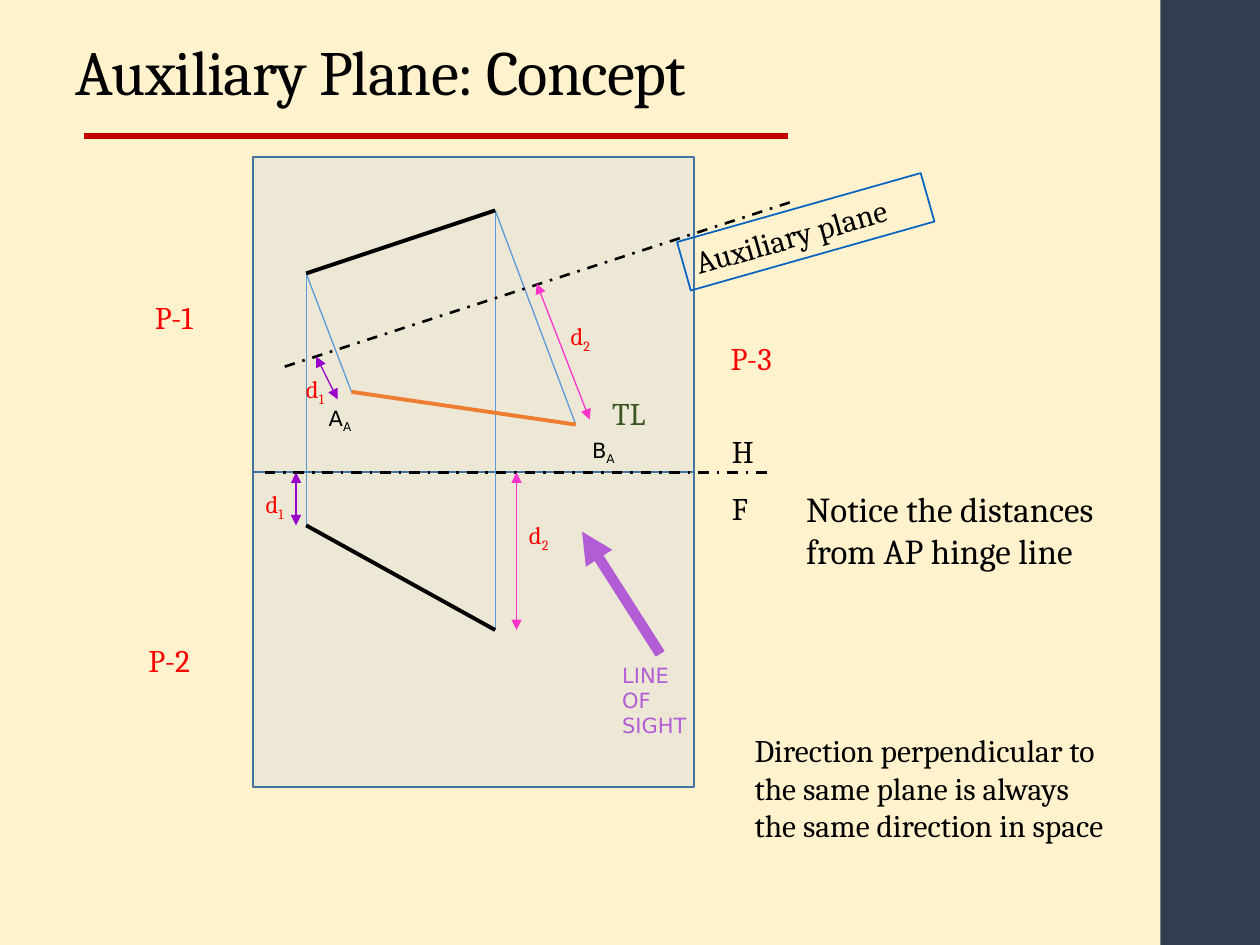
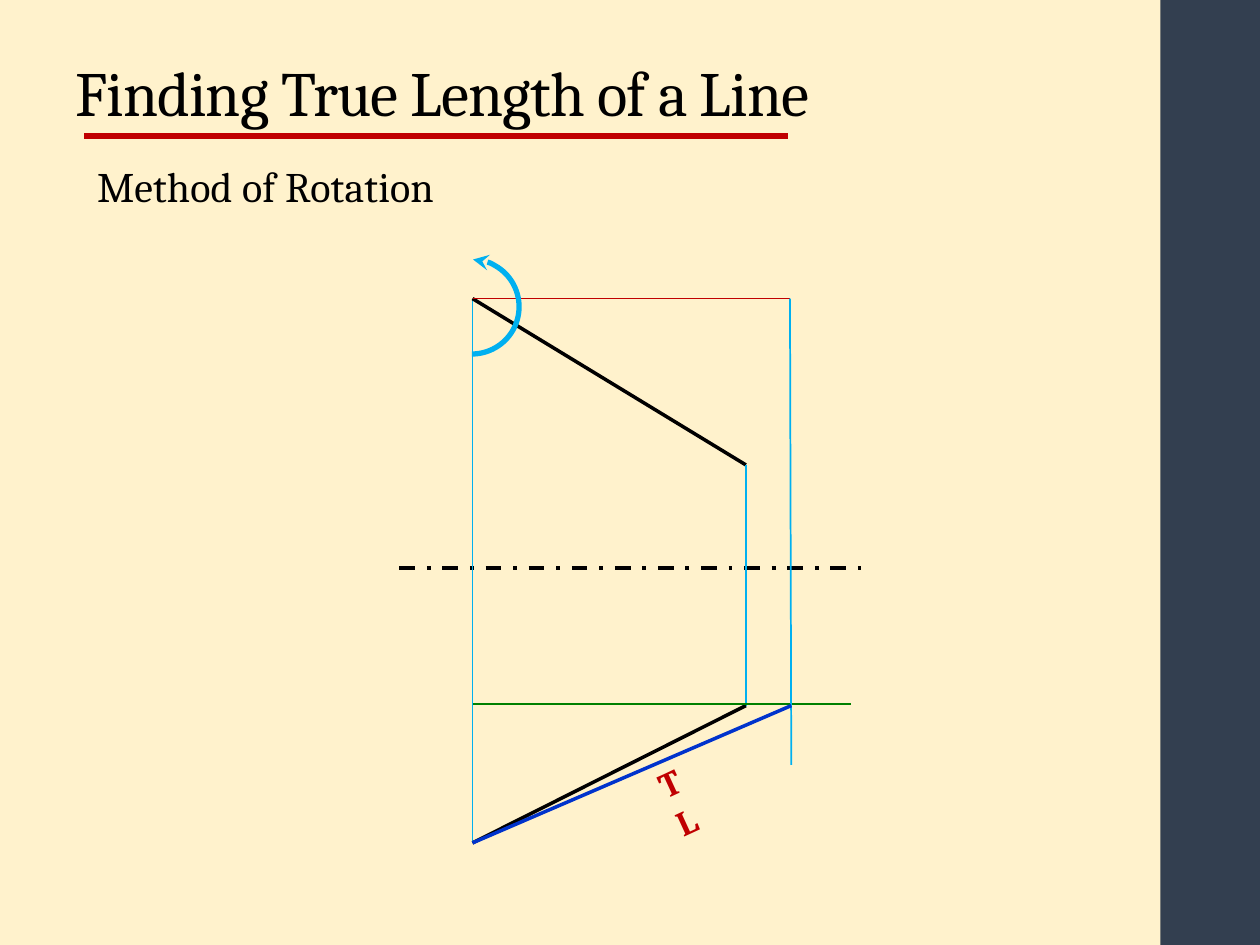
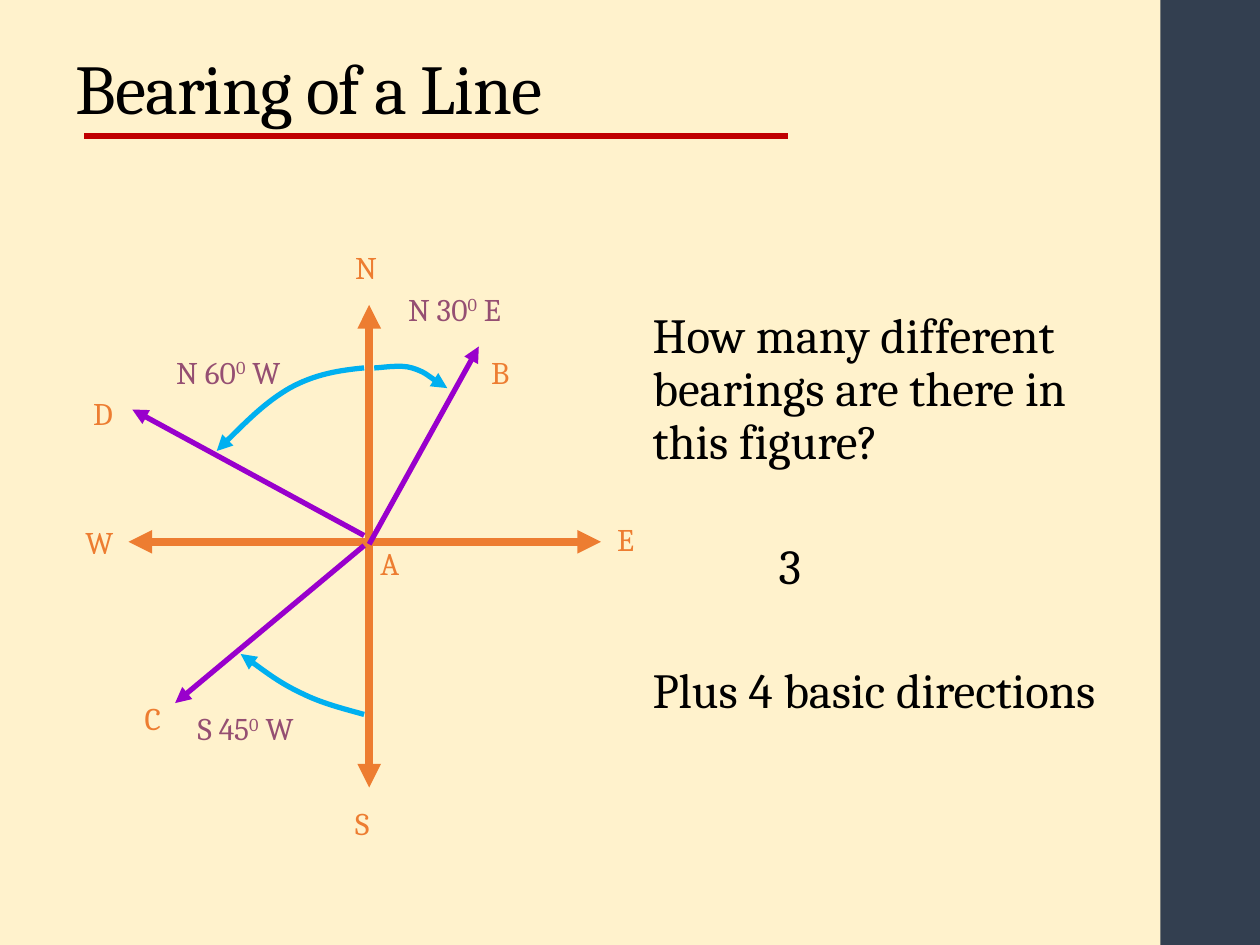
from dataclasses import dataclass
from typing import Any

from lxml.etree import SubElement
from pptx import Presentation
from pptx.dml.color import RGBColor
from pptx.enum.dml import MSO_LINE
from pptx.enum.shapes import MSO_CONNECTOR, MSO_SHAPE
from pptx.enum.text import MSO_ANCHOR, MSO_AUTO_SIZE, PP_ALIGN
from pptx.oxml.ns import qn
from pptx.util import Inches, Pt


@dataclass(frozen=True)
class Theme:
    font: str = "Cambria"
    plain: str = "DejaVu Sans"
    paper: str = "FFF2CC"
    band: str = "333F50"
    rule: str = "C00000"
    ink: str = "000000"
    plane: str = "D6DCE5"
    edge: str = "43739E"
    ray: str = "5B9BD5"
    orange: str = "ED7D31"
    violet: str = "9900CC"
    pink: str = "FF33CC"
    red: str = "FF0000"
    forest: str = "385723"
    link: str = "0563C1"
    sky: str = "00B0F0"
    green: str = "008000"
    blue: str = "0033CC"
    plum: str = "954F72"
    title: int = 36
    large: int = 40
    ask: int = 28
    body: int = 24
    note: int = 20
    label: int = 18
    dim: int = 14
    tiny: int = 12


T = Theme()


def rgb(code):
    return RGBColor.from_string(code)


def style(font, size, color, name=T.font, bold=False):
    font.size, font.name, font.bold = Pt(size), name, bold
    font.color.rgb = rgb(color)


def stroke(shape, color, width, head=None, tail=None):
    """Colour a line, add its arrowheads and drop its shadow."""
    shape.line.color.rgb = rgb(color)
    shape.line.width = Pt(width)
    props = shape.element.spPr
    line = props.find(qn("a:ln"))
    for tag, kind in (("a:headEnd", head), ("a:tailEnd", tail)):
        if kind:
            SubElement(line, qn(tag)).set("type", kind)
    if props.find(qn("a:effectLst")) is None:
        SubElement(props, qn("a:effectLst"))


@dataclass
class Pane:
    """A drawing area whose lengths are inches from its own origin."""
    shapes: Any
    left: float = 0
    top: float = 0

    def at(self, x, y):
        return Inches(self.left + x), Inches(self.top + y)

    def box(self, x, y, wide, high):
        return *self.at(x, y), Inches(wide), Inches(high)

    def group(self):
        return Pane(self.shapes.add_group_shape().shapes, self.left, self.top)

    def line(self, start, end, color, width, dash=False, head=None, tail=None):
        line = self.shapes.add_connector(
            MSO_CONNECTOR.STRAIGHT, *self.at(*start), *self.at(*end))
        if dash:
            line.line.dash_style = MSO_LINE.DASH_DOT
        stroke(line, color, width, head, tail)
        return line

    def both(self, start, end, color, width):
        self.line(start, end, color, width, head="triangle", tail="triangle")

    def rect(self, box, color):
        rect = self.shapes.add_shape(MSO_SHAPE.RECTANGLE, *self.box(*box))
        rect.shadow.inherit = False
        rect.fill.solid()
        rect.fill.fore_color.rgb = rgb(color)
        rect.line.fill.background()
        return rect

    def curve(self, points, color, width):
        """Draw cubic curves through a start and triples of points."""
        start, *rest = [self.at(*point) for point in points]
        pen = self.shapes.build_freeform(*start)
        pen.add_line_segments(rest, close=False)
        shape = pen.convert_to_shape()
        steps = list(shape.element.iter(qn("a:lnTo")))
        for i in range(0, len(steps), 3):
            trio = steps[i:i + 3]
            bend = SubElement(trio[0].getparent(), qn("a:cubicBezTo"))
            for step in trio:
                bend.append(step[0])
                step.getparent().remove(step)
        shape.fill.background()
        stroke(shape, color, width, tail="triangle")

    def text(self, box, lines, size, color, name=T.font, bold=False,
             wrap=True, shift=0, turn=0):
        """Write lines; in a tuple every second run is shifted by a percentage."""
        shape = self.shapes.add_textbox(*self.box(*box))
        shape.rotation = turn
        frame = shape.text_frame
        frame.word_wrap = wrap
        frame.auto_size = MSO_AUTO_SIZE.SHAPE_TO_FIT_TEXT
        for i, line in enumerate(lines):
            para = frame.add_paragraph() if i else frame.paragraphs[0]
            style(para.font, size, color, name, bold)
            for j, part in enumerate((line,) if isinstance(line, str) else line):
                run = para.add_run()
                run.text = part
                if j % 2:
                    run._r.get_or_add_rPr().set("baseline", str(shift * 1000))
        return shape


def fill(holder, box, lines, size, space, anchor, track=0, gap=0, indents=()):
    holder.left, holder.top, holder.width, holder.height = map(Inches, box)
    frame = holder.text_frame
    frame.word_wrap = True
    frame.auto_size = MSO_AUTO_SIZE.NONE
    frame.vertical_anchor = anchor
    for i, line in enumerate(lines):
        para = frame.add_paragraph() if i else frame.paragraphs[0]
        para.text = line
        props = para._p.get_or_add_pPr()
        props.set("marL", str(Inches(indents[i] if indents else 0)))
        props.set("indent", "0")
        SubElement(props, qn("a:buNone"))
        para.alignment = PP_ALIGN.LEFT
        para.line_spacing = space
        para.space_before = Pt(gap if i else 0)
        style(para.font, size, T.ink)
    for font in holder.element.iter(qn("a:defRPr")):
        font.set("spc", str(track))


def head(slide, text, box=(0.5, 0.08, 7.95, 1), size=T.title):
    fill(slide.shapes.title, box, [text], size, 0.9, MSO_ANCHOR.BOTTOM, -50)


def dress(master, slide):
    """Put the paper, side band and title rule on the master."""
    master.background.fill.solid()
    master.background.fill.fore_color.rgb = rgb(T.paper)
    pane = Pane(slide.shapes)
    band = pane.rect((9.21, 0, 0.79, 7.5), T.band)
    rule = pane.line((0.67, 1.08), (6.25, 1.08), T.rule, 3)
    for part in (band, rule):
        master.shapes.element.append(part.element)


def planes(pane):
    """Draw a line in two views and its auxiliary view."""
    wide, high = 3.5, 2.5
    top_a, top_b = (0.42, 0.92), (1.92, 0.42)
    low_a, low_b = (0.42, 2.92), (1.92, 3.75)
    aux_a, aux_b = (0.78, 1.86), (2.56, 2.12)

    pane.line((3.23, 3.94), (2.61, 2.97), T.violet, 6, tail="triangle")
    pane.text((2.83, 3.96, 0.8, 0.7), ["LINE", "OF", "SIGHT"],
              T.tiny, T.violet, T.plain, wrap=False)
    for y in (0, high):
        rect = pane.rect((0, y, wide, high), T.plane)
        tint = next(rect.element.spPr.iter(qn("a:srgbClr")))
        SubElement(tint, qn("a:alpha")).set("val", "42000")
        stroke(rect, T.edge, 1.1)

    for start, end in ((top_a, low_a), (top_b, low_b),
                       (top_a, aux_a), (top_b, aux_b)):
        pane.line(start, end, T.ray, 0.75)
    for start, end, color in ((top_a, top_b, T.ink), (low_a, low_b, T.ink),
                              (aux_a, aux_b, T.orange)):
        pane.line(start, end, color, 2.25)
    for start, end in (((0.09, high), (4.09, high)), ((0.25, 1.66), (4.31, 0.34))):
        pane.line(start, end, T.ink, 1.5, dash=True)

    for start, end, color, spot, mark in (
            ((0.34, high), (0.34, 2.92), T.violet, (0, 2.58, 0.72, 0.34), "1"),
            ((2.09, high), (2.09, 3.75), T.pink, (2.09, 2.83, 1.17, 0.34), "2"),
            ((0.5, 1.58), (0.67, 1.92), T.violet, (0.32, 1.67, 0.42, 0.34), "1"),
            ((2.25, 1), (2.67, 2.08), T.pink, (2.42, 1.25, 0.58, 0.34), "2")):
        pane.both(start, end, color, 0.75)
        pane.text(spot, [("d", mark)], T.dim, T.red, shift=-25)
    for x, y, mark in ((0.5, 1.92, "A"), (2.59, 2.17, "B")):
        pane.text((x, y, 0.42, 0.3), [(mark, "A")], T.tiny, T.ink, T.plain,
                  wrap=False, shift=-25)


def names(pane):
    """Label the planes around the views."""
    aux = pane.text((3.38, 0.39, 2.01, 0.4), ["Auxiliary plane"],
                    T.label, T.ink, turn=-15.8)
    stroke(aux, T.link, 1)
    pane.text((3.7, 2.13, 0.36, 0.4), ["H"], T.label, T.ink, wrap=False)
    for x, y, wide, text, color in (
            (2.75, 1.83, 0.92, "TL", T.forest), (3.7, 2.58, 0.39, "F", T.ink),
            (3.69, 1.39, 0.65, "P-3", T.red), (-0.93, 3.79, 0.65, "P-2", T.red),
            (-0.88, 1.07, 0.65, "P-1", T.red)):
        pane.text((x, y, wide, 0.4), [text], T.label, color)


def concept(slide):
    head(slide, "Auxiliary Plane: Concept", (0.5, 0.12, 9, 0.8))
    pane = Pane(slide.shapes, 2.01, 1.25)
    planes(pane)
    names(pane)
    pane.text((4.29, 2.57, 2.85, 0.77),
              ["Notice the distances", "from AP hinge line"], T.note, T.ink)
    pane.text((3.88, 4.5, 3.45, 1.01),
              ["Direction perpendicular to", "the same plane is always",
               "the same direction in space"], T.label, T.ink, wrap=False)


def turning(pane):
    """Rotate the top view until the front view shows true length."""
    top_a, low_a = (0, 0), (0, 4.32)
    top_b, low_b = (2.17, 1.32), (2.17, 3.23)
    turned, true = (2.52, 0), (2.53, 3.23)
    pane.line((-0.58, 2.14), (3.08, 2.14), T.ink, 2.25, dash=True)
    for start, end, color, width in (
            (top_a, low_a, T.sky, 1), (top_a, top_b, T.ink, 2),
            (top_b, low_b, T.sky, 1), (low_a, low_b, T.ink, 2),
            (top_a, turned, T.rule, 1), ((3, 3.22), (0, 3.22), T.green, 1),
            (turned, (2.53, 3.7), T.sky, 1), (low_a, true, T.blue, 2)):
        pane.line(start, end, color, width)
    pane.text((1.38, 3.6, 0.46, 0.44), ["TL"], T.note, T.rule, bold=True,
              wrap=False, turn=-24.7)
    arc = pane.shapes.add_shape(MSO_SHAPE.ARC, *pane.box(-0.38, -0.31, 0.75, 0.75))
    arc.adjustments[0], arc.adjustments[1] = 162, 53.14
    arc.element.spPr.find(qn("a:xfrm")).set("flipV", "1")
    arc.fill.background()
    stroke(arc, T.sky, 3, tail="stealth")


def rotation(slide):
    head(slide, "Finding True Length of a Line")
    fill(slide.placeholders[1], (0.67, 1.25, 7.05, 4.76), ["Method of Rotation"],
         T.body, 0.95, MSO_ANCHOR.TOP, 10)
    turning(Pane(slide.shapes, 3.75, 2.37))


def mark(pane, x, y, text, wide=0.38):
    pane.text((x, y, wide, 0.4), [text], T.label, T.orange, wrap=False)


def bearing(pane, ray, bend, spot, angle, end, letter):
    pane.line(*ray, T.violet, 3, tail="triangle")
    pane.curve(bend, T.sky, 3)
    pane.text((*spot, 1.1, 0.4), [angle], T.label, T.plum, wrap=False, shift=30)
    mark(pane, *end, letter)


def compass(pane):
    pane.both((-1.91, 0), (1.84, 0), T.orange, 4.5)
    pane.both((0, -1.88), (0, 1.95), T.orange, 4.5)
    for x, y, text, wide in ((-2.35, -0.2, "W", 0.44), (-0.21, -2.38, "N", 0.38),
                             (1.87, -0.22, "E", 0.37), (-0.21, 2.03, "S", 0.37)):
        mark(pane, x, y, text, wide)
    bearing(pane.group(), ((-0.04, 0.03), (-1.54, 1.28)),
            ((-0.04, 1.37), (-0.22, 1.32), (-0.38, 1.28), (-0.54, 1.2),
             (-0.71, 1.12), (-0.92, 0.96), (-1.02, 0.89)),
            (-1.46, 1.28), ("S 45", "0", " W"), (-1.88, 1.2), "C")
    bearing(pane.group(), ((-0.04, -0.05), (-1.88, -1.05)),
            ((-0.04, -1.38), (-0.24, -1.36), (-0.43, -1.33), (-0.63, -1.22),
             (-0.82, -1.11), (-1.02, -0.91), (-1.21, -0.72)),
            (-1.63, -1.55), ("N 60", "0", " W"), (-2.29, -1.22), "D")
    bearing(pane.group(), ((0, 0.02), (0.87, -1.55)),
            ((0.04, -1.38), (0.09, -1.38), (0.25, -1.41), (0.34, -1.38),
             (0.44, -1.35), (0.56, -1.25), (0.62, -1.22)),
            (0.21, -2.05), ("N 30", "0", " E"), (0.87, -1.55), "B")
    mark(pane, -0.01, -0.03, "A")


def bearings(slide):
    head(slide, "Bearing of a Line", size=T.large)
    compass(Pane(slide.shapes, 2.93, 4.3))
    fill(slide.placeholders[1], (5.08, 2.42, 4.08, 2.33),
         ["How many different bearings are there in this figure?", "3",
          "Plus 4 basic directions"],
         T.ask, 0.9, MSO_ANCHOR.TOP, gap=41, indents=(0, 1, 0))


def main():
    deck = Presentation()
    deck.slide_width, deck.slide_height = Inches(10), Inches(7.5)
    full, bare = deck.slide_layouts[1], deck.slide_layouts[5]
    for build, layout in ((concept, bare), (rotation, full), (bearings, full)):
        slide = deck.slides.add_slide(layout)
        if build is concept:
            dress(deck.slide_master, slide)
        build(slide)
    deck.save("out.pptx")


if __name__ == "__main__":
    main()
